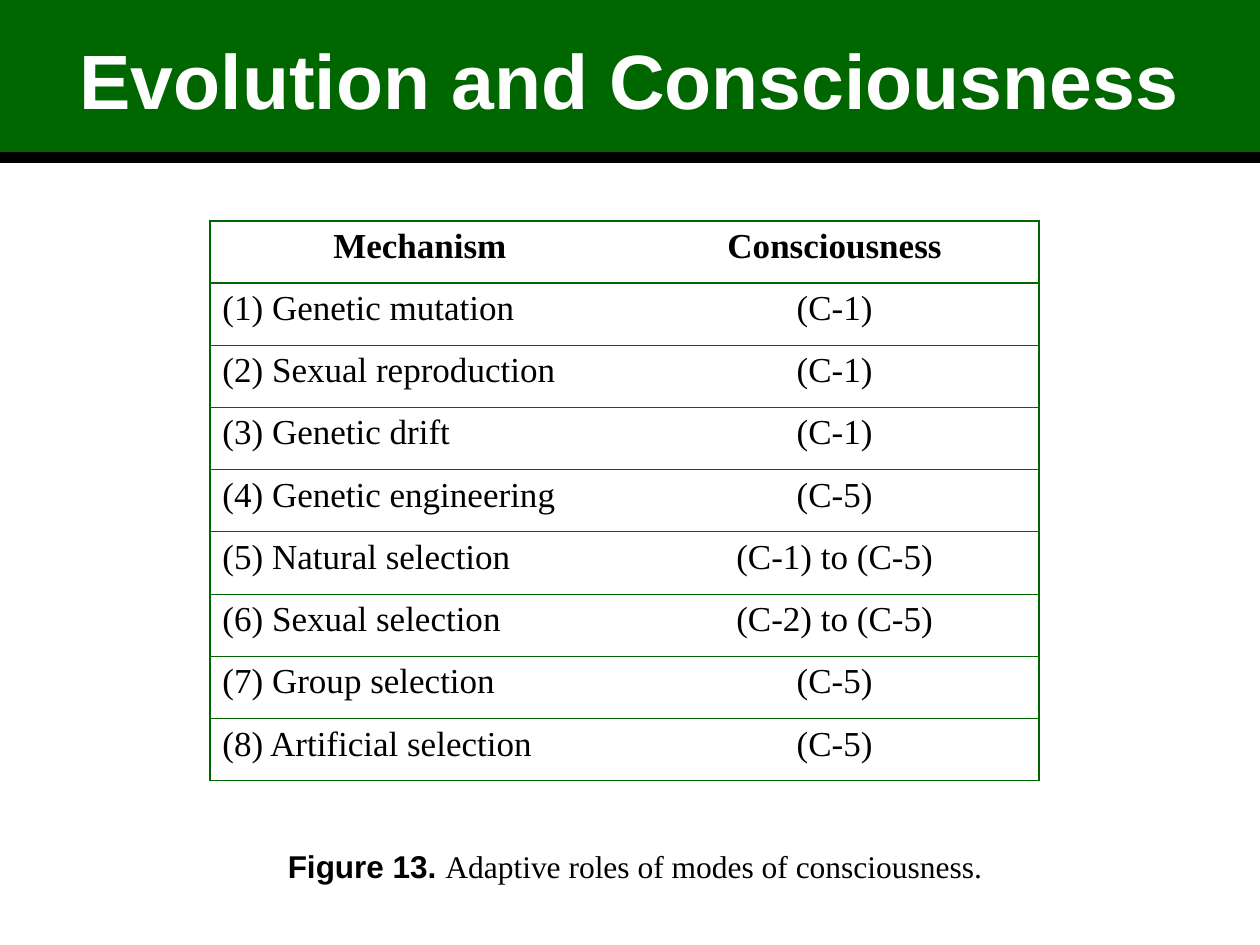
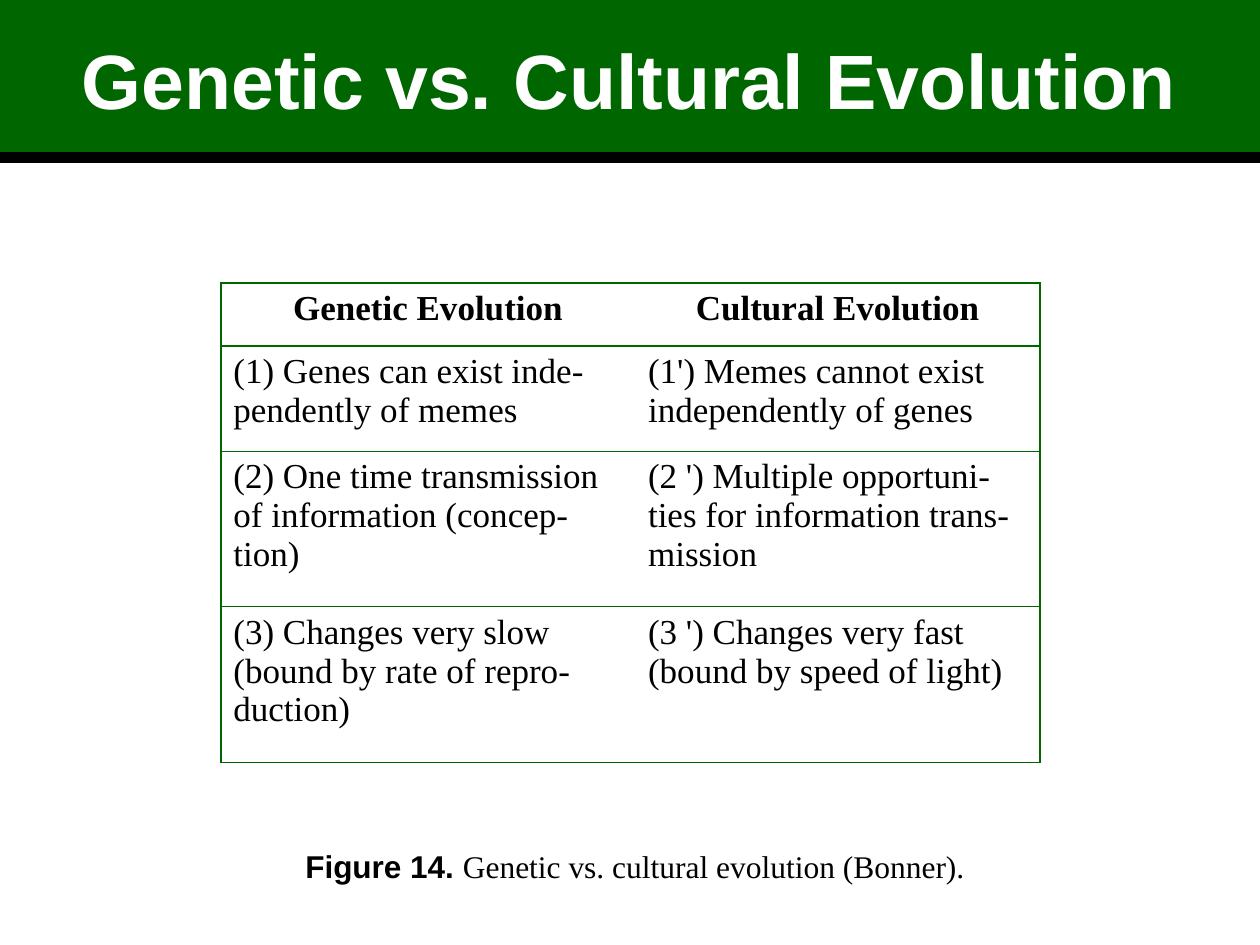
import dataclasses

import pptx
import pptx.dml.color
import pptx.enum.shapes
import pptx.enum.text
import pptx.oxml
import pptx.oxml.ns
import pptx.util

Cm = pptx.util.Cm
Pt = pptx.util.Pt
RGB = pptx.dml.color.RGBColor
LEFT = pptx.enum.text.PP_ALIGN.LEFT
CENTER = pptx.enum.text.PP_ALIGN.CENTER


@dataclasses.dataclass(frozen=True)
class Theme:
    green: RGB = RGB(0x00, 0x66, 0x00)
    black: RGB = RGB(0x00, 0x00, 0x00)
    white: RGB = RGB(0xFF, 0xFF, 0xFF)
    sans: str = "Arial"
    serif: str = "Times New Roman"
    title_size: int = 44
    table_size: int = 20
    caption_size: int = 18
    thick: float = 1.08
    thin: float = 0.45


THEME = Theme()


def write(paragraph, text, *, font=THEME.serif, size=THEME.table_size,
          color=THEME.black, bold=False, align=LEFT):
    """Append a formatted run to the paragraph."""
    paragraph.alignment = align
    run = paragraph.add_run()
    run.text = text
    run.font.name = font
    run.font.size = Pt(size)
    run.font.color.rgb = color
    run.font.bold = bold


def set_borders(cell, left, right, top, bottom):
    """Draw the four cell edges in points; a width of 0 hides an edge."""
    properties = cell._tc.get_or_add_tcPr()
    edges = {"lnL": left, "lnR": right, "lnT": top, "lnB": bottom}
    for position, (tag, width) in enumerate(edges.items()):
        paint = (f'<a:solidFill><a:srgbClr val="{THEME.green}"/></a:solidFill>'
                 if width else "<a:noFill/>")
        properties.insert(position, pptx.oxml.parse_xml(
            f'<a:{tag} {pptx.oxml.ns.nsdecls("a")} w="{Pt(width)}">{paint}</a:{tag}>'))


mechanisms = [
    ("Mechanism", "Consciousness"),
    ("(1) Genetic mutation", "(C-1)"),
    ("(2) Sexual reproduction", "(C-1)"),
    ("(3) Genetic drift", "(C-1)"),
    ("(4) Genetic engineering", "(C-5)"),
    ("(5) Natural selection", "(C-1) to (C-5)"),
    ("(6) Sexual selection", "(C-2) to (C-5)"),
    ("(7) Group selection", "(C-5)"),
    ("(8) Artificial selection", "(C-5)"),
]
evolution_types = [
    ("Genetic Evolution", "Cultural Evolution"),
    ("(1) Genes can exist inde-pendently of memes",
     "(1') Memes cannot exist independently of genes"),
    ("(2) One time transmission\nof information (concep-tion)",
     "(2 ') Multiple opportuni-\nties for information trans-mission"),
    ("(3) Changes very slow (bound by rate of repro-duction)",
     "(3 ') Changes very fast (bound by speed of light)"),
]
figures = [
    dict(title="Evolution and Consciousness", rows=mechanisms,
         left=4.23, top=4.45, widths=(8.47, 8.25),
         heights=[11.29 / len(mechanisms)] * len(mechanisms),
         aligns=(LEFT, CENTER), label="Figure 13. ",
         caption="Adaptive roles of modes of consciousness."),
    dict(title="Genetic vs. Cultural Evolution", rows=evolution_types,
         left=4.45, top=5.71, widths=(8.36, 8.15),
         heights=(1.27, 2.11, 3.14, 3.14),
         aligns=(LEFT, LEFT), label="Figure 14. ",
         caption="Genetic vs. cultural evolution (Bonner)."),
]

deck = pptx.Presentation()
deck.slide_width, deck.slide_height = Cm(25.4), Cm(19.05)
band_height = Cm(3.18)

for figure in figures:
    slide = deck.slides.add_slide(deck.slide_layouts[5])

    # Title band with its black rule
    band = slide.shapes.title
    band.left, band.top = 0, 0
    band.width, band.height = deck.slide_width, band_height
    band.fill.solid()
    band.fill.fore_color.rgb = THEME.green
    band.text_frame.auto_size = pptx.enum.text.MSO_AUTO_SIZE.NONE
    band.text_frame.vertical_anchor = pptx.enum.text.MSO_ANCHOR.MIDDLE
    write(band.text_frame.paragraphs[0], figure["title"], font=THEME.sans,
          size=THEME.title_size, color=THEME.white, bold=True, align=CENTER)

    rule = slide.shapes.add_connector(
        pptx.enum.shapes.MSO_CONNECTOR.STRAIGHT,
        0, band_height, deck.slide_width, band_height)
    rule.line.color.rgb = THEME.black
    rule.line.width = Pt(6)
    rule._element.spPr.append(
        pptx.oxml.parse_xml(f'<a:effectLst {pptx.oxml.ns.nsdecls("a")}/>'))

    # Table framed in green, with rules between rows only
    rows, widths, heights = figure["rows"], figure["widths"], figure["heights"]
    grid = slide.shapes.add_table(
        len(rows), len(widths), Cm(figure["left"]), Cm(figure["top"]),
        Cm(sum(widths)), Cm(sum(heights))).table
    grid.first_row = grid.horz_banding = False
    for column, width in zip(grid.columns, widths):
        column.width = Cm(width)
    for row, height in zip(grid.rows, heights):
        row.height = Cm(height)

    row_rules = [THEME.thick] * 2 + [THEME.thin] * (len(rows) - 2) + [THEME.thick]
    column_rules = [THEME.thick, 0, THEME.thick]
    for r, entries in enumerate(rows):
        for c, entry in enumerate(entries):
            cell = grid.cell(r, c)
            cell.fill.background()
            set_borders(cell, *column_rules[c:c + 2], *row_rules[r:r + 2])
            is_header = r == 0
            for i, line in enumerate(entry.split("\n")):
                frame = cell.text_frame
                paragraph = frame.add_paragraph() if i else frame.paragraphs[0]
                write(paragraph, line, bold=is_header,
                      align=CENTER if is_header else figure["aligns"][c])

    # Caption
    caption = slide.shapes.add_textbox(Cm(4.23), Cm(16.96), Cm(17.15), Cm(1.02))
    caption.text_frame.word_wrap = True
    sentence = caption.text_frame.paragraphs[0]
    write(sentence, figure["label"], font=THEME.sans, size=THEME.caption_size,
          bold=True, align=CENTER)
    write(sentence, figure["caption"], size=THEME.caption_size, align=CENTER)

deck.save("out.pptx")
